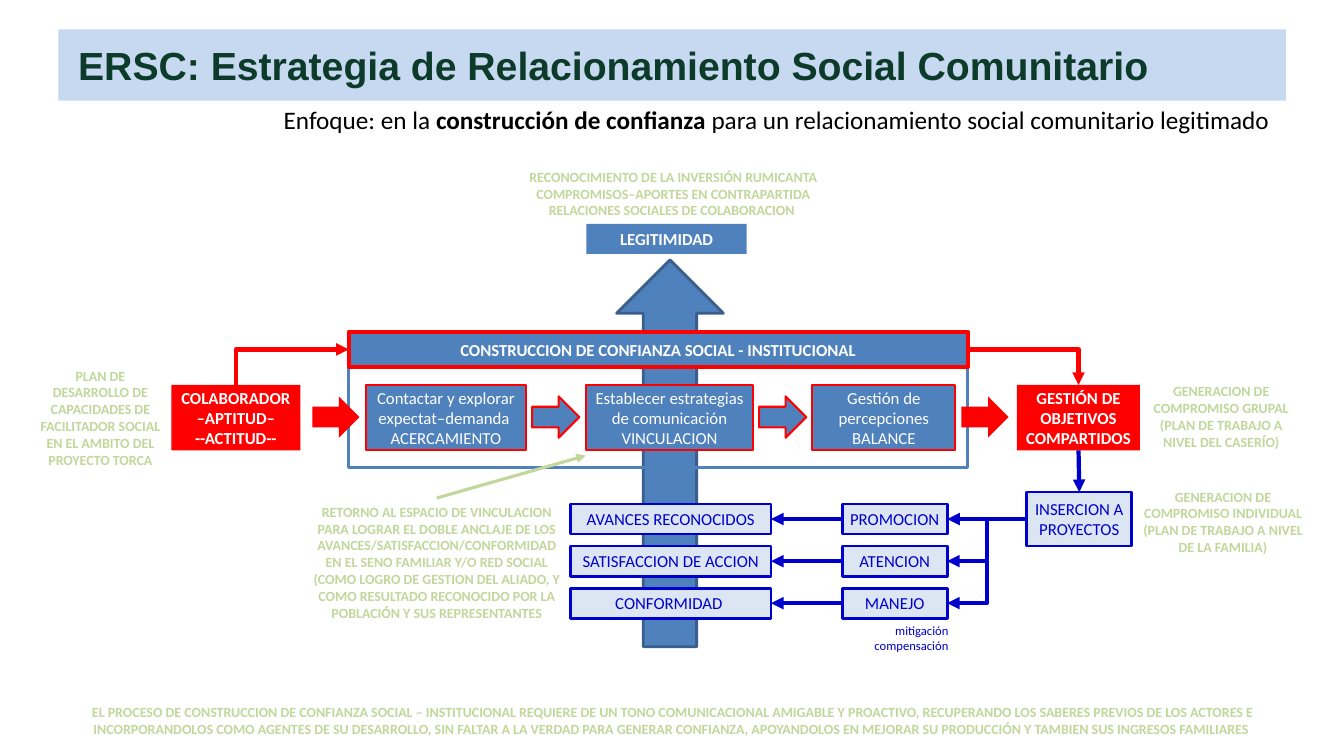
from collections import namedtuple

from lxml.etree import SubElement
from pptx import Presentation
from pptx.dml.color import RGBColor
from pptx.enum.shapes import MSO_CONNECTOR as Link, MSO_SHAPE as Form
from pptx.enum.text import MSO_ANCHOR as Anchor, PP_ALIGN as Align
from pptx.oxml.ns import qn
from pptx.util import Cm, Pt

Box = namedtuple("Box", "left top width height")

WHITE = RGBColor(0xFF, 0xFF, 0xFF)
BLACK = RGBColor(0, 0, 0)
RED = RGBColor(0xFF, 0, 0)
STEEL = RGBColor(0x4F, 0x81, 0xBD)
STEEL_EDGE = RGBColor(0x3A, 0x5F, 0x8C)
SKY = RGBColor(0xC6, 0xD9, 0xF1)
PALE = RGBColor(0xDC, 0xE6, 0xF2)
BLUE = RGBColor(0, 0, 0xCC)
OLIVE = RGBColor(0xC3, 0xD6, 0x9B)
FOREST = RGBColor(0x0C, 0x3B, 0x2A)

TOP, LEFT, BOTTOM, RIGHT = range(4)


def inside(region, left, top, width, height):
    """Return a box whose corner is measured from the region's corner."""
    return Box(region.left + left, region.top + top, width, height)


def write(shape, lines, size, color, bold=False, align=Align.CENTER,
          anchor=Anchor.MIDDLE, font="Calibri", insets=(0.18, 0.1)):
    """Write one paragraph per line; a line is a list of (text, bold) or a string."""
    frame = shape.text_frame
    frame.word_wrap = True
    frame.vertical_anchor = anchor
    frame.margin_left = frame.margin_right = Cm(insets[0])
    frame.margin_top = frame.margin_bottom = Cm(insets[1])
    for index, line in enumerate(lines):
        para = frame.paragraphs[0] if index == 0 else frame.add_paragraph()
        para.alignment = align
        para.font.name, para.font.size, para.font.bold = font, Pt(size), bold
        para.font.color.rgb = color
        for text, strong in [(line, bold)] if isinstance(line, str) else line:
            span = para.add_run()
            span.text = text
            if strong != bold:
                span.font.bold = strong


def add_form(page, box, form=Form.RECTANGLE, fill=None, edge=None, weight=1.5):
    """Add a preset shape with an optional fill and outline."""
    shape = page.shapes.add_shape(form, *map(Cm, box))
    shape.shadow.inherit = False
    if fill is None:
        shape.fill.background()
    else:
        shape.fill.solid()
        shape.fill.fore_color.rgb = fill
    if edge is None:
        shape.line.fill.background()
    else:
        shape.line.color.rgb = edge
        shape.line.width = Pt(weight)
    return shape


def add_text(page, box, lines, size, color, **style):
    """Add a text box with its lines."""
    shape = page.shapes.add_textbox(*map(Cm, box))
    write(shape, lines, size, color, **style)
    return shape


def add_link(page, color, weight=3, start=None, finish=None, end_at=(0, 0),
             kind=Link.STRAIGHT, arrow="tailEnd"):
    """Join two shape sides, or a side and a point, with an arrow."""
    link = page.shapes.add_connector(kind, 0, 0, *map(Cm, end_at))
    link.begin_connect(*start)
    if finish:
        link.end_connect(*finish)
    link.line.color.rgb = color
    link.line.width = Pt(weight)
    properties = link._element.spPr
    SubElement(properties.find(qn("a:ln")), qn("a:" + arrow), type="triangle")
    SubElement(properties, qn("a:effectLst"))
    return link


def draw_header(page, region):
    """Draw the title band and the focus sentence."""
    band = add_form(page, inside(region, 0.15, 0, 30.94, 1.8), fill=SKY)
    write(band, ["ERSC: Estrategia de Relacionamiento Social Comunitario"], 28, FOREST,
          bold=True, align=Align.LEFT, font="Arial", insets=(0.5, 0.13))
    focus = [("Enfoque: en la ", False), ("construcción de confianza ", True),
             ("para un relacionamiento social comunitario legitimado ", False)]
    add_text(page, inside(region, 0, 1.77, 31.06, 1.02), [focus], 18, BLACK,
             align=Align.RIGHT, anchor=Anchor.TOP, insets=(0.25, 0.13))


def draw_trust(page, region):
    """Draw the trust process and return the middle step and shared objectives."""
    add_form(page, inside(region, 11.22, 0.91, 2.69, 9.75), Form.UP_ARROW,
             STEEL, STEEL_EDGE, 2)
    add_form(page, inside(region, 4.47, 3.61, 15.6, 2.54), edge=STEEL, weight=2)
    legitimacy = add_form(page, inside(region, 10.46, 0, 4.04, 0.76), fill=STEEL)
    write(legitimacy, ["LEGITIMIDAD"], 12, WHITE, bold=True)
    banner = add_form(page, inside(region, 4.47, 2.72, 15.6, 0.89),
                      fill=STEEL, edge=RED, weight=3)
    write(banner, ["CONSTRUCCION DE CONFIANZA SOCIAL - INSTITUCIONAL"], 12, WHITE, bold=True)

    steps = [(4.9, 4.04, ["Contactar y explorar expectat–demanda ", "ACERCAMIENTO"]),
             (10.46, 4.19, ["Establecer estrategias de comunicación", "VINCULACION"]),
             (16.15, 3.61, ["Gestión de percepciones", "BALANCE"])]
    for left, width, lines in steps:
        step = add_form(page, inside(region, left, 4.06, width, 1.65), fill=STEEL, edge=RED)
        write(step, lines, 12, WHITE)

    for left, fill, edge in [(3.55, RED, None), (9.09, STEEL, RED),
                             (14.81, STEEL, RED), (19.91, RED, None)]:
        add_form(page, inside(region, left, 4.35, 1.19, 1.04), Form.RIGHT_ARROW, fill, edge)

    actors = [(0, 3.25, LEFT, ["COLABORADOR –APTITUD–", "--ACTITUD--"], "headEnd"),
              (21.31, 3.1, RIGHT, ["GESTIÓN DE OBJETIVOS COMPARTIDOS"], "tailEnd")]
    for left, width, side, lines, arrow in actors:
        actor = add_form(page, inside(region, left, 4.06, width, 1.65), fill=RED)
        write(actor, lines, 12, WHITE, bold=True)
        link = add_link(page, RED, start=(banner, side), finish=(actor, TOP),
                        kind=Link.ELBOW, arrow=arrow)
        link._element.spPr.find(qn("a:prstGeom")).set("prst", "bentConnector2")
    return actor


def draw_delivery(page, region, objectives):
    """Draw the projects, their actions and the results they lead to."""
    def add_card(box, text):
        """Add a pale card with blue text."""
        card = add_form(page, box, fill=PALE, edge=BLUE, weight=2)
        write(card, [text], 12, BLUE)
        return card

    projects = add_card(inside(region, 11.5, 0, 2.64, 1.36), "INSERCION A PROYECTOS")
    add_link(page, BLUE, start=(objectives, BOTTOM), finish=(projects, TOP))
    rows = [("PROMOCION", "AVANCES RECONOCIDOS"),
            ("ATENCION", "SATISFACCION DE ACCION"),
            ("MANEJO", "CONFORMIDAD ")]
    for row, (action_text, result_text) in enumerate(rows):
        top = 0.3 + 1.06 * row
        action = add_card(inside(region, 6.85, top, 2.64, 0.76), action_text)
        result = add_card(inside(region, 0, top, 5.05, 0.76), result_text)
        add_link(page, BLUE, start=(projects, LEFT), finish=(action, RIGHT),
                 kind=Link.ELBOW if row else Link.STRAIGHT)
        add_link(page, BLUE, start=(action, LEFT), finish=(result, RIGHT))
    add_text(page, inside(region, 6.6, 3.3, 3.1, 0.76), ["mitigación", "compensación"],
             9, BLUE, align=Align.RIGHT)


def draw_notes(page, region):
    """Draw the olive remarks around the diagram and the return arrow."""
    def add_note(left, top, width, height, *lines):
        """Add one olive remark."""
        return add_text(page, inside(region, left, top, width, height), lines, 10, OLIVE,
                        bold=True, anchor=Anchor.TOP, insets=(0.25, 0.13))

    add_note(12.42, 4.11, 9.09, 1.55, "RECONOCIMIENTO DE LA INVERSIÓN RUMICANTA",
             "COMPROMISOS–APORTES EN CONTRAPARTIDA", "RELACIONES SOCIALES DE COLABORACION ")
    add_note(0.74, 9.12, 3.58, 2.82, "PLAN DE DESARROLLO DE CAPACIDADES DE FACILITADOR "
             "SOCIAL EN EL AMBITO DEL PROYECTO TORCA")
    add_note(28.73, 9.52, 4.09, 1.96,
             "GENERACION DE COMPROMISO GRUPAL (PLAN DE TRABAJO A NIVEL DEL CASERÍO)")
    add_note(28.52, 12.17, 4.6, 1.96, "GENERACION DE COMPROMISO INDIVIDUAL",
             "(PLAN DE TRABAJO A NIVEL DE LA FAMILIA)")
    comeback = add_note(
        7.65, 12.55, 6.71, 3.25, "RETORNO AL ESPACIO DE VINCULACION PARA LOGRAR EL DOBLE "
        "ANCLAJE DE LOS AVANCES/SATISFACCION/CONFORMIDAD EN EL SENO FAMILIAR Y/O RED SOCIAL "
        "(COMO LOGRO DE GESTION DEL ALIADO, Y COMO RESULTADO RECONOCIDO POR LA POBLACIÓN Y "
        "SUS REPRESENTANTES")
    add_link(page, OLIVE, 2.25, start=(comeback, TOP),
             end_at=(region.left + 14.76, region.top + 11.48))
    add_note(1.47, 17.6, 30.94, 1.12, "EL PROCESO DE CONSTRUCCION DE CONFIANZA SOCIAL – "
             "INSTITUCIONAL REQUIERE DE UN TONO COMUNICACIONAL AMIGABLE Y PROACTIVO, "
             "RECUPERANDO LOS SABERES PREVIOS DE LOS ACTORES E INCORPORANDOLOS COMO AGENTES "
             "DE SU DESARROLLO, SIN FALTAR A LA VERDAD PARA GENERAR CONFIANZA, APOYANDOLOS EN "
             "MEJORAR SU PRODUCCIÓN Y TAMBIEN SUS INGRESOS FAMILIARES ")


def main():
    """Build the slide and save the deck."""
    deck = Presentation()
    deck.slide_width, deck.slide_height = Cm(33.87), Cm(19.05)
    page = deck.slides.add_slide(deck.slide_layouts[6])
    draw_header(page, Box(1.32, 0.74, 31.09, 2.8))
    objectives = draw_trust(page, Box(4.32, 5.64, 24.41, 10.67))
    draw_delivery(page, Box(14.38, 12.4, 14.14, 4.06), objectives)
    draw_notes(page, Box(0, 0, 33.87, 19.05))
    deck.save("out.pptx")


if __name__ == "__main__":
    main()
